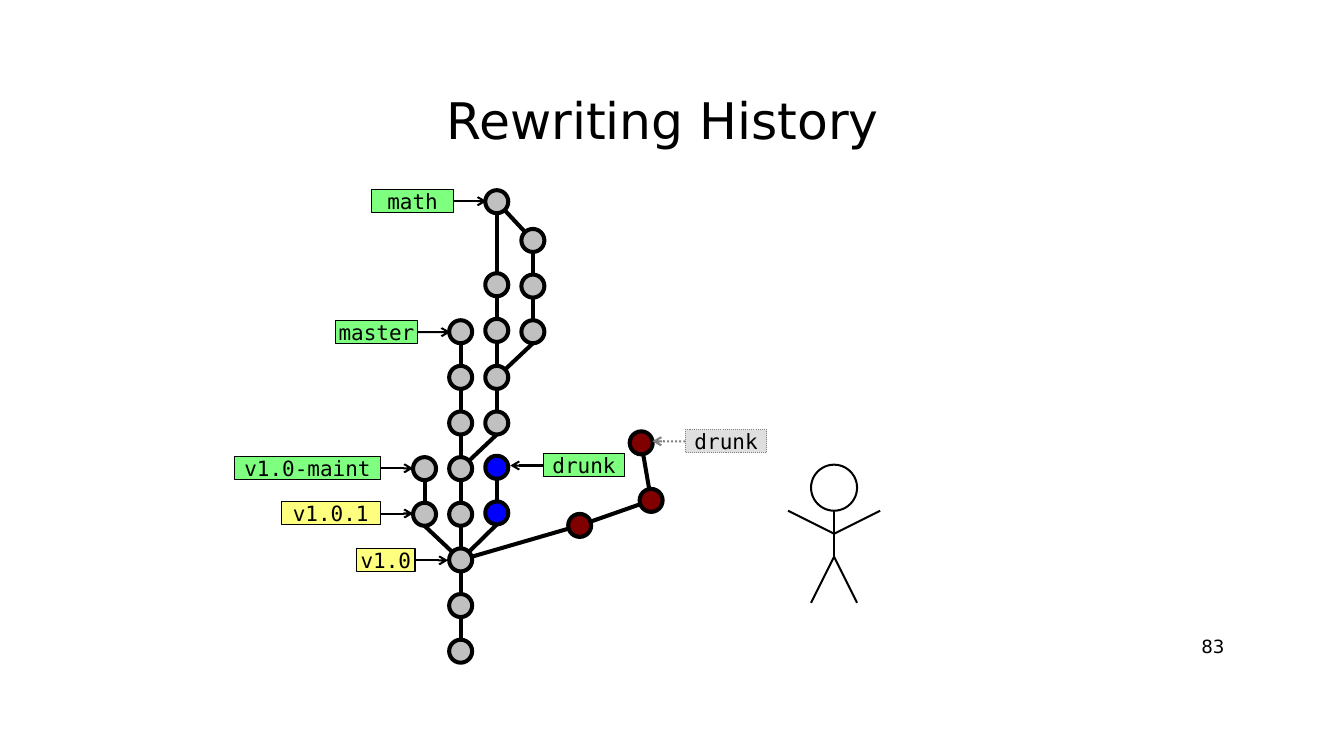
"""Draw the commit graph slide "Rewriting History"."""
from math import hypot

from lxml import etree
from pptx import Presentation
from pptx.dml.color import RGBColor
from pptx.enum.dml import MSO_LINE
from pptx.enum.shapes import MSO_CONNECTOR, MSO_SHAPE
from pptx.enum.text import MSO_ANCHOR, PP_ALIGN
from pptx.oxml.ns import qn
from pptx.util import Cm, Pt

STRAIGHT = MSO_CONNECTOR.STRAIGHT
RECTANGLE, OVAL = MSO_SHAPE.RECTANGLE, MSO_SHAPE.OVAL
TOP, MIDDLE = MSO_ANCHOR.TOP, MSO_ANCHOR.MIDDLE
CENTER, RIGHT = PP_ALIGN.CENTER, PP_ALIGN.RIGHT
DOTTED = MSO_LINE.ROUND_DOT
LEFT_SIDE, RIGHT_SIDE = 1, 3

BLACK = RGBColor(0x00, 0x00, 0x00)
GRAY = RGBColor(0x80, 0x80, 0x80)
SILVER = RGBColor(0xC0, 0xC0, 0xC0)
GREEN = RGBColor(0x00, 0xFF, 0x00)
YELLOW = RGBColor(0xFF, 0xFF, 0x00)
MAROON = RGBColor(0x80, 0x00, 0x00)
BLUE = RGBColor(0x00, 0x00, 0xFF)

SANS, MONO = "DejaVu Sans", "DejaVu Sans Mono"
THICK, THIN, HAIRLINE = 2.89, 1.45, 0
COMMIT_RADIUS = 0.29
LABEL_HEIGHT = 0.58
ARROW_LENGTH = 0.83

COLUMN_LEFT, COLUMN_STEP = 10.7, 0.91
ROW_BOTTOM, ROW_STEP = 16.41, 1.15


def grid(column, row):
    return COLUMN_LEFT + column * COLUMN_STEP, ROW_BOTTOM - row * ROW_STEP


MASTER = [grid(1, row) for row in range(8)]
MAINT = [grid(0, row) for row in (3, 4)]
MATH = [grid(2, row) for row in (5, 6, 7.03, 8.03, 9.85)]
MATH_SIDE = [grid(3, row) for row in (7, 8, 9)]
DRUNK_NEW = [grid(2, row) for row in (3.03, 4.03)]
DRUNK_OLD = [(14.61, 13.24), (16.41, 12.61), (16.16, 11.16)]

BRANCHES = [(MASTER, SILVER), (MAINT, SILVER), (MATH, SILVER),
            (MATH_SIDE, SILVER), (DRUNK_OLD, MAROON), (DRUNK_NEW, BLUE)]
FORKS = [(MAINT[0], MASTER[2]), (MATH[0], MASTER[4]),
         (MATH_SIDE[0], MATH[1]), (DRUNK_NEW[0], MASTER[2])]
JOINS = [(DRUNK_OLD[0], MASTER[2]), (MATH[-1], MATH_SIDE[-1])]

LABELS = [("master", 8.46, 8.37, 2.06, GREEN),
          ("v1.0", 8.99, 14.12, 1.47, YELLOW),
          ("v1.0-maint", 5.92, 11.8, 3.66, GREEN),
          ("v1.0.1", 7.09, 12.94, 2.49, YELLOW),
          ("math", 9.37, 5.07, 2.06, GREEN)]


def toward(start, target, distance):
    """Return the point at a distance from start on the way to target."""
    across, down = target[0] - start[0], target[1] - start[1]
    ratio = distance / hypot(across, down)
    return start[0] + across * ratio, start[1] + down * ratio


class GraphSlide:
    """Holds the style and the slide, and draws each kind of element."""

    def __init__(self, slide):
        self.shapes = slide.shapes

    def fill_text(self, shape, text, font, size, anchor, align):
        text_frame = shape.text_frame
        text_frame.text = text
        text_frame.vertical_anchor = anchor
        paragraph = text_frame.paragraphs[0]
        paragraph.alignment = align
        run_font = paragraph.runs[0].font
        run_font.name, run_font.size = font, Pt(size)
        run_font.color.rgb = BLACK

    def text(self, text, left, top, width, height, size, anchor, align):
        box = self.shapes.add_textbox(Cm(left), Cm(top), Cm(width), Cm(height))
        frame = box.text_frame
        frame.margin_left = frame.margin_right = Cm(0)
        frame.margin_top = frame.margin_bottom = Cm(0)
        frame.word_wrap = True
        self.fill_text(box, text, SANS, size, anchor, align)

    def shape(self, kind, left, top, width, height, fill, line, weight):
        shape = self.shapes.add_shape(
            kind, Cm(left), Cm(top), Cm(width), Cm(height))
        shape.shadow.inherit = False
        if fill is None:
            shape.fill.background()
        else:
            shape.fill.solid()
            shape.fill.fore_color.rgb = fill
        shape.line.color.rgb = line
        shape.line.width = Pt(weight)
        return shape

    def circle(self, center, radius, fill, weight):
        self.shape(OVAL, center[0] - radius, center[1] - radius,
                   2 * radius, 2 * radius, fill, BLACK, weight)

    def line(self, start, end, weight, color=BLACK):
        connector = self.shapes.add_connector(
            STRAIGHT, *(Cm(value) for value in (*start, *end)))
        connector.line.color.rgb = color
        connector.line.width = Pt(weight)
        etree.SubElement(connector._element.spPr, qn("a:effectLst"))
        return connector

    def edge(self, child, parent):
        self.line(toward(child, parent, COMMIT_RADIUS),
                  toward(parent, child, COMMIT_RADIUS), THICK)

    def fork(self, child, parent):
        bottom = (child[0], child[1] + COMMIT_RADIUS)
        self.line(bottom, toward(parent, bottom, COMMIT_RADIUS), THICK)

    def label(self, text, left, middle, width, fill,
              side=RIGHT_SIDE, color=BLACK, dash=None):
        box = self.shape(RECTANGLE, left, middle - LABEL_HEIGHT / 2, width,
                         LABEL_HEIGHT, fill, color, HAIRLINE)
        fill_color = box._element.spPr.find(".//" + qn("a:srgbClr"))
        etree.SubElement(fill_color, qn("a:alpha"), val="50000")
        box.text_frame.word_wrap = False
        self.fill_text(box, text, MONO, 15, MIDDLE, CENTER)
        start, step = left, -ARROW_LENGTH
        if side == RIGHT_SIDE:
            start, step = left + width, ARROW_LENGTH
        arrow = self.line((start, middle), (start + step, middle), THIN, color)
        arrow.begin_connect(box, side)
        if dash is not None:
            box.line.dash_style = arrow.line.dash_style = dash
        line_element = arrow._element.spPr.find(qn("a:ln"))
        etree.SubElement(line_element, qn("a:tailEnd"), type="arrow")

    def stick_figure(self, x, top, unit):
        head, neck, shoulder, hand, hip, foot = (
            (x + across * unit, top + down * unit) for across, down in
            ((0, 1), (0, 2), (0, 3), (2, 2), (0, 4), (1, 6)))
        self.circle(head, unit, None, THIN)
        self.line(neck, hip, THIN)
        for joint, tip in ((hip, foot), (shoulder, hand)):
            self.line(joint, tip, THIN)
            self.line(joint, (2 * x - tip[0], tip[1]), THIN)


def main():
    presentation = Presentation()
    presentation.slide_width, presentation.slide_height = Cm(33.87), Cm(19.05)
    slide = presentation.slides.add_slide(presentation.slide_layouts[6])
    graph = GraphSlide(slide)

    graph.text("Rewriting History", 6.05, 2.24, 21.31, 1.55, 36, MIDDLE, CENTER)
    for commits, color in BRANCHES:
        for commit in commits:
            graph.circle(commit, COMMIT_RADIUS, color, THICK)
        for parent, child in zip(commits, commits[1:]):
            graph.edge(child, parent)
    for child, parent in FORKS:
        graph.fork(child, parent)
    for child, parent in JOINS:
        graph.edge(child, parent)
    for label in LABELS:
        graph.label(*label)
    graph.label("drunk", 13.69, 11.73, 2.06, GREEN, LEFT_SIDE)
    graph.label("drunk", 17.27, 11.12, 2.06, SILVER, LEFT_SIDE, GRAY, DOTTED)
    graph.stick_figure(21.02, 11.71, 0.58)
    graph.text("83", 22.96, 16, 7.9, 1.32, 13, TOP, RIGHT)
    presentation.save("out.pptx")


if __name__ == "__main__":
    main()
